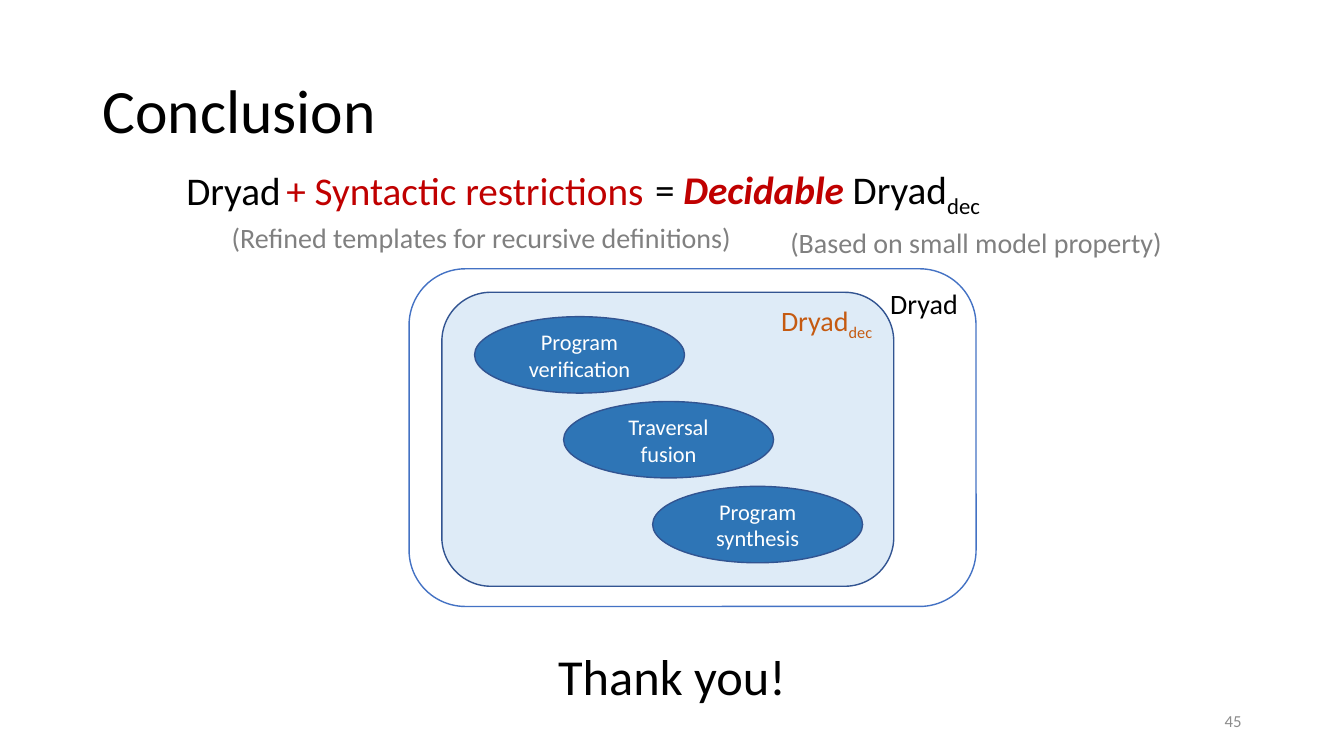
"""Builds the concluding slide on Dryad and its decidable fragment."""
import dataclasses

import pptx
import pptx.dml.color
import pptx.enum.shapes
import pptx.enum.text
import pptx.util

SHAPE = pptx.enum.shapes.MSO_SHAPE
ALIGN = pptx.enum.text.PP_ALIGN
ANCHOR = pptx.enum.text.MSO_ANCHOR


@dataclasses.dataclass(frozen=True)
class Theme:
    font: str = "Calibri"
    ink: str = "000000"
    red: str = "C00000"
    orange: str = "C55A11"
    gray: str = "808080"
    pale_gray: str = "8C8C8C"
    white: str = "FFFFFF"
    blue: str = "2E75B6"
    pale_blue: str = "DEEBF7"
    edge: str = "325491"
    outer_edge: str = "4472C4"
    title: int = 44
    closing: int = 36
    formula: int = 28
    label: int = 20
    topic: int = 16
    number: int = 12


class Deck:
    columns, rows = 160, 90

    def __init__(self, theme):
        self.theme = theme
        self.show = pptx.Presentation()
        self.show.slide_width = pptx.util.Inches(13.33)
        self.show.slide_height = pptx.util.Inches(7.5)
        self.slide = self.show.slides.add_slide(self.show.slide_layouts[5])

    def place(self, column, row, width, height):
        across = self.show.slide_width / self.columns
        down = self.show.slide_height / self.rows
        return [round(n * unit) for n, unit in
                zip((column, row, width, height), (across, down, across, down))]

    def typeset(self, frame, runs, size, anchor=ANCHOR.TOP, wrap=True, **layout):
        for name, value in {"word_wrap": wrap, "vertical_anchor": anchor}.items():
            setattr(frame, name, value)
        line = frame.paragraphs[0]
        for name, value in layout.items():
            setattr(line, name, value)
        for words, color, *style in runs:
            run = line.add_run()
            run.text = words
            looks = {"name": self.theme.font, "size": pptx.util.Pt(size),
                     "bold": "strong" in style, "italic": "strong" in style}
            for name, value in looks.items():
                setattr(run.font, name, value)
            run.font.color.rgb = pptx.dml.color.RGBColor.from_string(color)
            if "sub" in style:
                run._r.get_or_add_rPr().set("baseline", "-25000")

    def title(self, box, words):
        heading = self.slide.shapes.title
        for name, value in zip(("left", "top", "width", "height"), self.place(*box)):
            setattr(heading, name, value)
        self.typeset(heading.text_frame, [(words, self.theme.ink)], self.theme.title,
                     ANCHOR.MIDDLE, alignment=ALIGN.LEFT, line_spacing=0.9)

    def text(self, box, runs, size, **layout):
        label = self.slide.shapes.add_textbox(*self.place(*box))
        self.typeset(label.text_frame, runs, size, **layout)

    def shape(self, kind, box, edge, fill=None, words=None):
        figure = self.slide.shapes.add_shape(kind, *self.place(*box))
        figure.shadow.inherit = False
        figure.line.width = pptx.util.Pt(1)
        figure.line.color.rgb = pptx.dml.color.RGBColor.from_string(edge)
        if fill:
            figure.fill.solid()
            figure.fill.fore_color.rgb = pptx.dml.color.RGBColor.from_string(fill)
        else:
            figure.fill.background()
        if words:
            self.typeset(figure.text_frame, [(words, self.theme.white)], self.theme.topic,
                         ANCHOR.MIDDLE, alignment=ALIGN.CENTER)


def main():
    theme = Theme()
    deck = Deck(theme)
    deck.title((11, 4.8, 138, 17.4), "Conclusion")
    deck.text((113, 83.4, 36, 4.8), [("45", theme.pale_gray)], theme.number,
              anchor=ANCHOR.MIDDLE, alignment=ALIGN.RIGHT)
    deck.text((11, 73.3, 138, 15), [("Thank you!", theme.ink)], theme.closing,
              anchor=ANCHOR.MIDDLE, alignment=ALIGN.CENTER, line_spacing=0.9)

    deck.shape(SHAPE.ROUNDED_RECTANGLE, (48.7, 32, 67.5, 40.2), theme.outer_edge)
    deck.text((104.8, 33.5, 12.8, 6.4), [("Dryad", theme.ink)], theme.label)
    deck.shape(SHAPE.ROUNDED_RECTANGLE, (52.6, 34.8, 53.8, 35), theme.edge, theme.pale_blue)
    deck.text((91.8, 35.6, 18.1, 6.7),
              [("Dryad", theme.orange), ("dec", theme.orange, "sub")], theme.label)

    deck.text((76.8, 19.1, 43.3, 6.8),
              [("= ", theme.ink), ("Decidable ", theme.red, "strong"),
               ("Dryad", theme.ink), ("dec", theme.ink, "sub")], theme.formula)
    deck.text((21, 19.2, 14.3, 6.8), [("Dryad", theme.ink)], theme.formula)
    deck.text((32.9, 19.2, 46.2, 6.8), [("+ Syntactic restrictions", theme.red)],
              theme.formula)

    topics = ("Program verification", "Traversal fusion", "Program synthesis")
    for step, topic in enumerate(topics):
        deck.shape(SHAPE.OVAL, (56.5 + 10.6 * step, 37.7 + 10.1 * step, 25, 9.1),
                   theme.edge, theme.blue, topic)

    remarks = (
        ((26.4, 25.7, 62.5, 5.3), "(Refined templates for recursive definitions)"),
        ((92.9, 26.2, 47, 5.3), "(Based on small model property)"),
    )
    for box, remark in remarks:
        deck.text(box, [(remark, theme.gray)], theme.label, wrap=False)
    deck.show.save("out.pptx")


if __name__ == "__main__":
    main()
